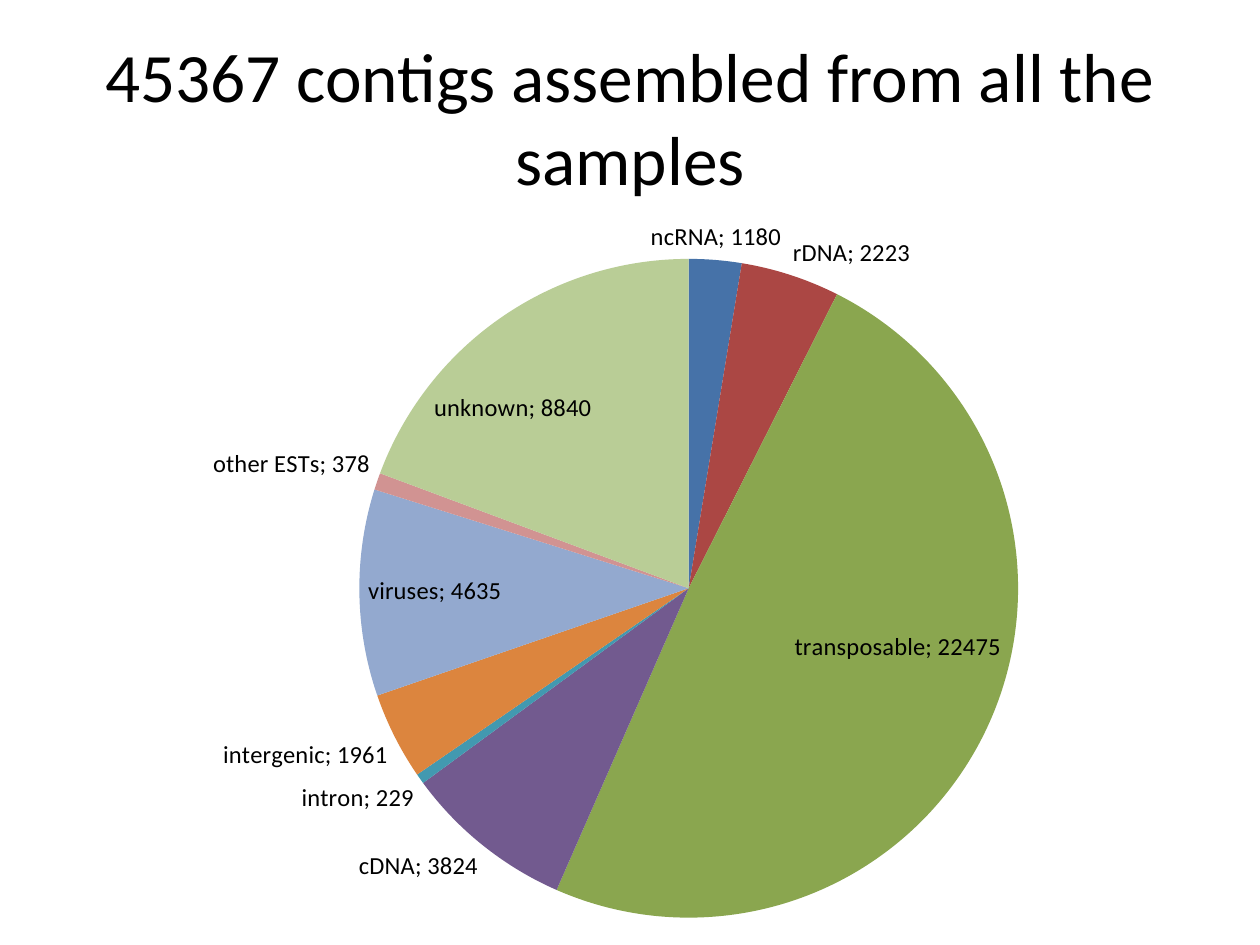
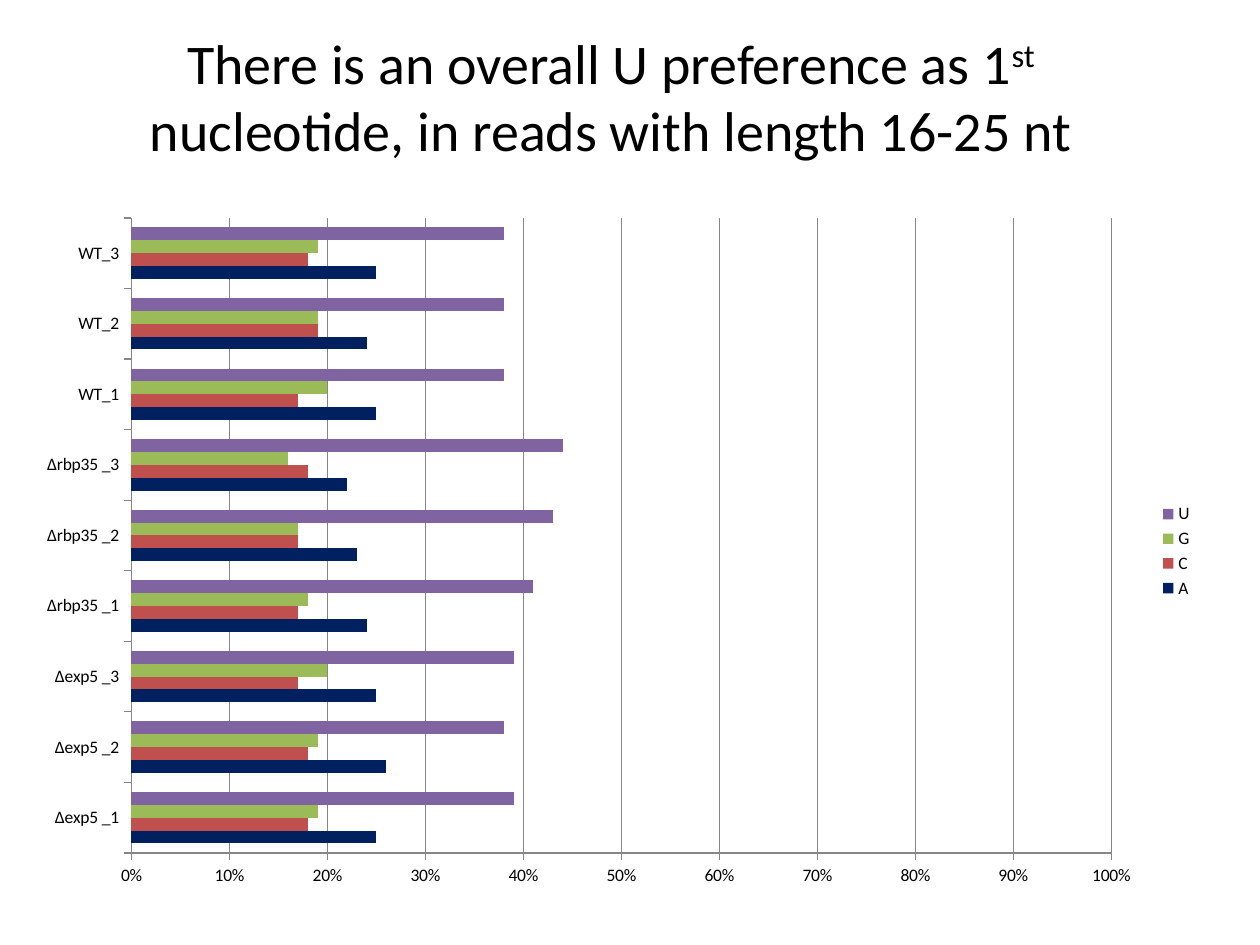
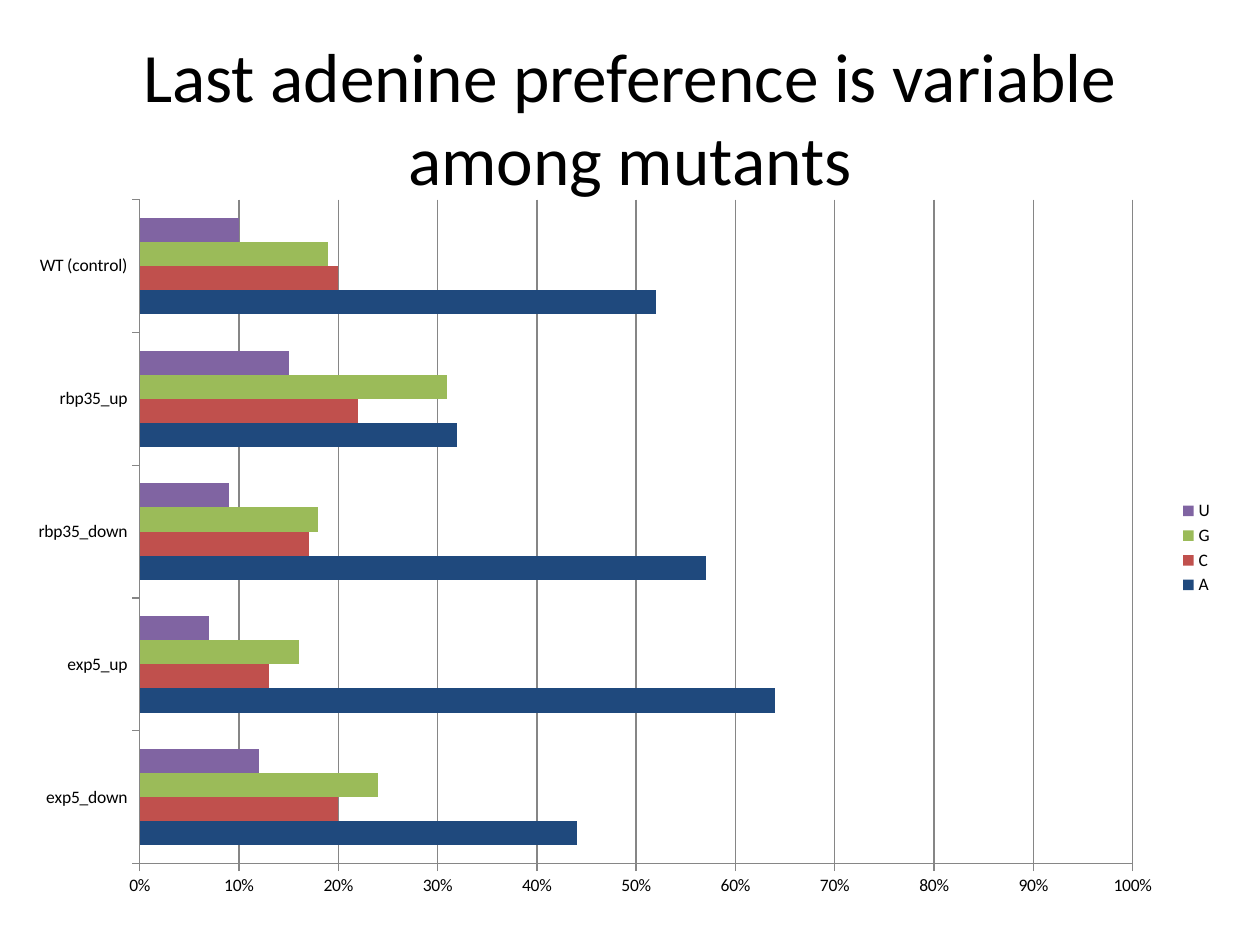
"""Build three slides on contig classes and nucleotide preferences."""
from lxml import etree
from pptx import Presentation
from pptx import util as u
from pptx.chart import data as chart_data
from pptx.dml import color
from pptx.enum import chart as charts, text
from pptx.oxml import ns

COLORS = {
    "text": "000000", "axis": "868686",
    "navy": "002060", "blue": "1F497D",
    "red": "C0504D", "green": "9BBB59", "purple": "8064A2",
}
PIE_COLORS = ["4672A8", "AB4744", "8AA64F", "725A8F", "4299B0",
              "DC853E", "93A9CF", "D19392", "B9CD96"]
FONT = "Calibri"
TITLE_BOX = (36, 21.6, 648, 90)


def rgb(value):
    """Turn a hex string into a colour."""
    return color.RGBColor.from_string(value)


class Deck:
    """Hold the presentation, its style and the current slide."""

    def __init__(self):
        """Start an empty presentation."""
        self.presentation = Presentation()
        self.presentation.slide_width = u.Pt(720)
        self.presentation.slide_height = u.Pt(540)
        self.slide = None

    def add_slide(self):
        """Add a blank slide and make it current."""
        layout = self.presentation.slide_layouts[6]
        self.slide = self.presentation.slides.add_slide(layout)

    def style(self, font, size):
        """Apply the shared typeface and text colour."""
        font.name = FONT
        font.size = u.Pt(size)
        font.color.rgb = rgb(COLORS["text"])

    def title(self, pieces, size=39.6, box=TITLE_BOX):
        """Add a centred title whose every second piece is superscript."""
        shape = self.slide.shapes.add_textbox(*map(u.Pt, box))
        frame = shape.text_frame
        frame.word_wrap = True
        frame.vertical_anchor = text.MSO_ANCHOR.MIDDLE
        paragraph = frame.paragraphs[0]
        paragraph.alignment = text.PP_ALIGN.CENTER
        for index, piece in enumerate(pieces):
            run = paragraph.add_run()
            run.text = piece
            self.style(run.font, size)
            if index % 2:
                run._r.get_or_add_rPr().set("baseline", "30000")

    def chart(self, kind, box, plot_box, categories, series, number_format="General"):
        """Add a chart with its plot area at fractions of the frame."""
        content = chart_data.CategoryChartData(number_format=number_format)
        content.categories = categories
        for name, values in series:
            content.add_series(name, values)
        frame = self.slide.shapes.add_chart(kind, *map(u.Pt, box), content)
        chart = frame.chart
        chart.has_title = False
        chart.has_legend = False
        self.style(chart.font, 10)
        self.place_plot(chart, plot_box)
        return chart

    def place_plot(self, chart, plot_box):
        """Fix the inner plot area of a chart."""
        area = chart.element.find(".//" + ns.qn("c:plotArea"))
        for old in area.findall(ns.qn("c:layout")):
            area.remove(old)
        layout = etree.Element(ns.qn("c:layout"))
        manual = etree.SubElement(layout, ns.qn("c:manualLayout"))
        settings = [("layoutTarget", "inner"), ("xMode", "edge"), ("yMode", "edge")]
        for tag, value in settings + list(zip("xywh", plot_box)):
            etree.SubElement(manual, ns.qn("c:" + tag)).set("val", str(value))
        area.insert(0, layout)

    def pie(self, box, plot_box, values):
        """Add a pie with category and value labels."""
        chart = self.chart(charts.XL_CHART_TYPE.PIE, box, plot_box,
                           list(values), [("Series 1", list(values.values()))])
        plot = chart.plots[0]
        plot.vary_by_categories = True
        series = plot.series[0]
        for index, value in enumerate(PIE_COLORS):
            fill = series.points[index].format.fill
            fill.solid()
            fill.fore_color.rgb = rgb(value)
        labels = series.data_labels
        self.style(labels.font, 14)
        labels.show_value = True
        labels.show_category_name = True
        labels.position = charts.XL_LABEL_POSITION.BEST_FIT
        last_flag = chart.element.find(".//" + ns.qn("c:showBubbleSize"))
        separator = etree.Element(ns.qn("c:separator"))
        separator.text = "; "
        last_flag.addnext(separator)

    def bars(self, box, plot_box, categories, series, first_color):
        """Add clustered bars on a percentage axis."""
        chart = self.chart(charts.XL_CHART_TYPE.BAR_CLUSTERED, box, plot_box,
                           categories, series.items(), "0%")
        plot = chart.plots[0]
        plot.vary_by_categories = False
        plot.gap_width = 150
        names = [first_color, "red", "green", "purple"]
        for item, name in zip(plot.series, names):
            item.invert_if_negative = False
            item.format.fill.solid()
            item.format.fill.fore_color.rgb = rgb(COLORS[name])
        for axis in (chart.category_axis, chart.value_axis):
            axis.major_tick_mark = charts.XL_TICK_MARK.OUTSIDE
            axis.minor_tick_mark = charts.XL_TICK_MARK.NONE
            self.line(axis.format.line)
        chart.category_axis.has_major_gridlines = False
        axis = chart.value_axis
        axis.minimum_scale, axis.maximum_scale, axis.major_unit = 0, 1, 0.1
        axis.has_major_gridlines = True
        self.line(axis.major_gridlines.format.line)
        axis.tick_labels.number_format = "0%"
        axis.tick_labels.number_format_is_linked = False
        chart.has_legend = True
        chart.legend.position = charts.XL_LEGEND_POSITION.RIGHT
        chart.legend.include_in_layout = False
        self.style(chart.legend.font, 10)

    def line(self, line):
        """Give an axis or gridline its thin grey stroke."""
        line.color.rgb = rgb(COLORS["axis"])
        line.width = u.Pt(0.75)


def main():
    """Build and save the slides."""
    deck = Deck()

    deck.add_slide()
    deck.title(["45367 contigs assembled from all the samples"])
    deck.pie((2.9, 116.6, 697.7, 418.3), (0.29, 0.075, 0.54, 0.9), {
        "ncRNA": 1180, "rDNA": 2223, "transposable": 22475,
        "cDNA": 3824, "intron": 229, "intergenic": 1961,
        "viruses": 4635, "other ESTs": 378, "unknown": 8840,
    })

    deck.add_slide()
    deck.title(["There is an overall U preference as 1", "st",
                " nucleotide, in reads with length 16-25 nt"],
               32, (25.2, 9.4, 648, 90))
    samples = [f"{strain}_{number}" for strain in ("∆exp5 ", "∆rbp35 ", "WT")
               for number in (1, 2, 3)]
    deck.bars((14.4, 116.6, 674.6, 396.7), (0.09, 0.02, 0.83, 0.915), samples, {
        "A": [0.25, 0.26, 0.25, 0.24, 0.23, 0.22, 0.25, 0.24, 0.25],
        "C": [0.18, 0.18, 0.17, 0.17, 0.17, 0.18, 0.17, 0.19, 0.18],
        "G": [0.19, 0.19, 0.2, 0.18, 0.17, 0.16, 0.2, 0.19, 0.19],
        "U": [0.39, 0.38, 0.39, 0.41, 0.43, 0.44, 0.38, 0.38, 0.38],
    }, "navy")

    deck.add_slide()
    deck.title(["Last adenine preference is variable among mutants"])
    groups = ["exp5_down", "exp5_up", "rbp35_down", "rbp35_up", "WT (control)"]
    deck.bars((8.6, 105.8, 691.9, 414.7), (0.103, 0.02, 0.82, 0.915), groups, {
        "A": [0.44, 0.64, 0.57, 0.32, 0.52],
        "C": [0.2, 0.13, 0.17, 0.22, 0.2],
        "G": [0.24, 0.16, 0.18, 0.31, 0.19],
        "U": [0.12, 0.07, 0.09, 0.15, 0.1],
    }, "blue")

    deck.presentation.save("out.pptx")


if __name__ == "__main__":
    main()
